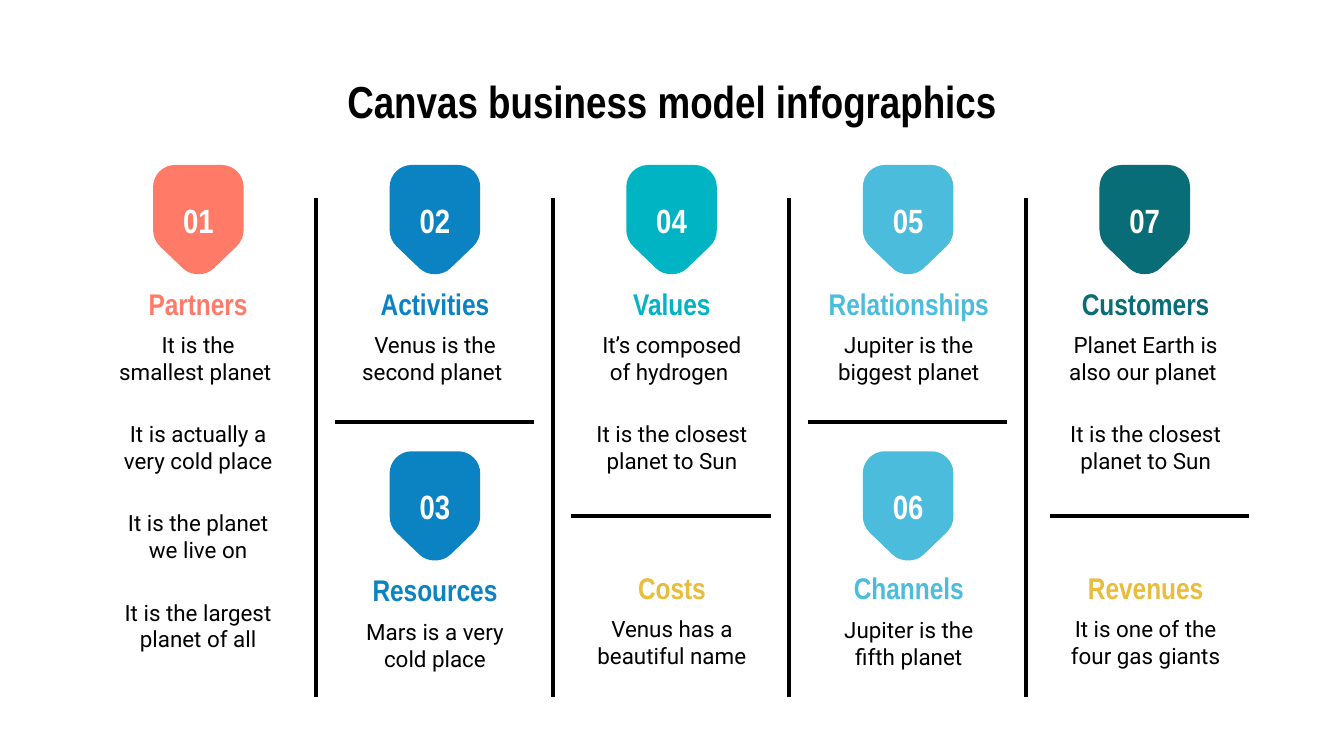
from pptx import Presentation
from pptx.dml.color import RGBColor
from pptx.enum.shapes import MSO_CONNECTOR
from pptx.enum.text import MSO_ANCHOR, PP_ALIGN
from pptx.oxml.xmlchemy import OxmlElement
from pptx.util import Pt

BLACK = RGBColor(0x00, 0x00, 0x00)
WHITE = RGBColor(0xFF, 0xFF, 0xFF)
CORAL = RGBColor(0xFF, 0x7B, 0x68)
BLUE = RGBColor(0x0B, 0x83, 0xC2)
TURQUOISE = RGBColor(0x01, 0xB4, 0xC4)
SKY = RGBColor(0x4B, 0xBC, 0xDC)
TEAL = RGBColor(0x09, 0x6D, 0x77)
GOLD = RGBColor(0xE9, 0xBD, 0x3B)

HEADING_FONT = "Arial Narrow"
BODY_FONT = "Roboto"
COLUMN_LEFT = 55.4
COLUMN_STEP = 126.9
COLUMN_WIDTH = 101.5
HEADING_HEIGHT = 27.4
NOTE_HEIGHT = 47.7
BADGE_LEFT = 82
BADGE_STEP = 126.75
BADGE_WIDTH = 48.5
BADGE_HEIGHT = 58.5

UPPER_HEADING = 149
UPPER_NOTE = 170.4
UPPER_BADGE = 88.4
LOWER_BADGE = 241.8

SECTIONS = [
    (0, UPPER_HEADING, UPPER_NOTE, CORAL, "Partners",
     ["It is the smallest planet ", "It is actually a very cold place",
      "It is the planet we live on", "It is the largest planet of all"]),
    (1, UPPER_HEADING, UPPER_NOTE, BLUE, "Activities", ["Venus is the second planet "]),
    (1, 302.4, 323.8, BLUE, "Resources", ["Mars is a very cold place"]),
    (2, UPPER_HEADING, UPPER_NOTE, TURQUOISE, "Values",
     ["It’s composed of hydrogen ", "It is the closest planet to Sun"]),
    (2, 301, 322.4, GOLD, "Costs", ["Venus has a beautiful name"]),
    (3, UPPER_HEADING, UPPER_NOTE, SKY, "Relationships", ["Jupiter is the biggest planet"]),
    (3, 301, 323, SKY, "Channels", ["Jupiter is the fifth planet"]),
    (4, UPPER_HEADING, UPPER_NOTE, TEAL, "Customers",
     ["Planet Earth is also our planet ", "It is the closest planet to Sun"]),
    (4, 301, 322.4, GOLD, "Revenues", ["It is one of the four gas giants"]),
]

BADGES = [
    (0, UPPER_BADGE, CORAL, "01"),
    (1, UPPER_BADGE, BLUE, "02"),
    (1, LOWER_BADGE, BLUE, "03"),
    (2, UPPER_BADGE, TURQUOISE, "04"),
    (3, UPPER_BADGE, SKY, "05"),
    (3, LOWER_BADGE, SKY, "06"),
    (4, UPPER_BADGE, TEAL, "07"),
]

ROW_DIVIDERS = [(179.3, 225.9), (306, 276.4), (432.7, 225.9), (562.3, 276.4)]
ROW_DIVIDER_WIDTH = 107

LEFT_CURVES = [
    [(11.8, 0), (5.3, 0), (0, 5.3), (0, 11.8)],
    [(0, 34.8), (0, 38.2), (1.4, 41.4), (3.8, 43.7)],
    [(16, 55.4), (18.2, 57.5), (21.2, 58.5), (24.25, 58.5)],
]
RIGHT_CURVES = [[(BADGE_WIDTH - x, y) for x, y in reversed(curve)]
                for curve in reversed(LEFT_CURVES)]


def write_text(shape, text, size, font=HEADING_FONT, color=BLACK, bold=True,
               anchor=MSO_ANCHOR.MIDDLE):
    frame = shape.text_frame
    frame.word_wrap = True
    frame.vertical_anchor = anchor
    frame.margin_left = frame.margin_right = Pt(7.2)
    frame.margin_top = frame.margin_bottom = Pt(7.2)
    para = frame.paragraphs[0]
    para.alignment = PP_ALIGN.CENTER
    span = para.add_run()
    span.text = text
    span.font.name = font
    span.font.size = Pt(size)
    span.font.bold = bold
    span.font.color.rgb = color


def add_text(page, text, left, top, width, height, **text_format):
    box = page.shapes.add_textbox(Pt(left), Pt(top), Pt(width), Pt(height))
    write_text(box, text, **text_format)


def add_section(page, column, heading_top, note_top, color, heading, notes):
    left = COLUMN_LEFT + column * COLUMN_STEP
    add_text(page, heading, left, heading_top, COLUMN_WIDTH, HEADING_HEIGHT,
             size=16, color=color)
    for index, note in enumerate(notes):
        add_text(page, note, left, note_top + index * NOTE_HEIGHT, COLUMN_WIDTH, NOTE_HEIGHT,
                 size=12, font=BODY_FONT, bold=False, anchor=MSO_ANCHOR.TOP)


def add_path_step(outline, tag, points=()):
    step = OxmlElement(tag)
    for x, y in points:
        point = OxmlElement("a:pt")
        point.set("x", str(int(Pt(x))))
        point.set("y", str(int(Pt(y))))
        step.append(point)
    outline.append(step)


def draw_badge_outline(badge):
    outline = badge._element.xpath(".//a:pathLst/a:path")[0]
    for step in list(outline):
        outline.remove(step)
    for index, (start, *controls) in enumerate(LEFT_CURVES + RIGHT_CURVES):
        add_path_step(outline, "a:lnTo" if index else "a:moveTo", [start])
        add_path_step(outline, "a:cubicBezTo", controls)
    add_path_step(outline, "a:close")


def add_badge(page, column, top, color, number):
    left = BADGE_LEFT + column * BADGE_STEP
    right, bottom = left + BADGE_WIDTH, top + BADGE_HEIGHT
    builder = page.shapes.build_freeform(Pt(left), Pt(top), scale=1.0)
    builder.add_line_segments([(Pt(right), Pt(top)), (Pt(right), Pt(bottom)),
                               (Pt(left), Pt(bottom))], close=True)
    badge = builder.convert_to_shape()
    draw_badge_outline(badge)
    badge.shadow.inherit = False
    badge.fill.solid()
    badge.fill.fore_color.rgb = color
    badge.line.fill.background()
    write_text(badge, number, size=18, color=WHITE)


def add_divider(page, left, top, right, bottom):
    divider = page.shapes.add_connector(MSO_CONNECTOR.STRAIGHT, Pt(left), Pt(top),
                                        Pt(right), Pt(bottom))
    divider.line.width = Pt(2.25)
    divider.line.color.rgb = BLACK
    divider._element.spPr.append(OxmlElement("a:effectLst"))


def main():
    deck = Presentation()
    deck.slide_width = Pt(720)
    deck.slide_height = Pt(405)
    page = deck.slides.add_slide(deck.slide_layouts[6])

    add_text(page, "Canvas business model infographics", 36, 32.4, 648, 45.4,
             size=24, anchor=MSO_ANCHOR.TOP)
    for section in SECTIONS:
        add_section(page, *section)
    for gap in range(4):
        x = 169.3 + gap * 126.8
        add_divider(page, x, 106, x, 373.4)
    for left, y in ROW_DIVIDERS:
        add_divider(page, left, y, left + ROW_DIVIDER_WIDTH, y)
    for badge in BADGES:
        add_badge(page, *badge)

    deck.save("out.pptx")


if __name__ == "__main__":
    main()
